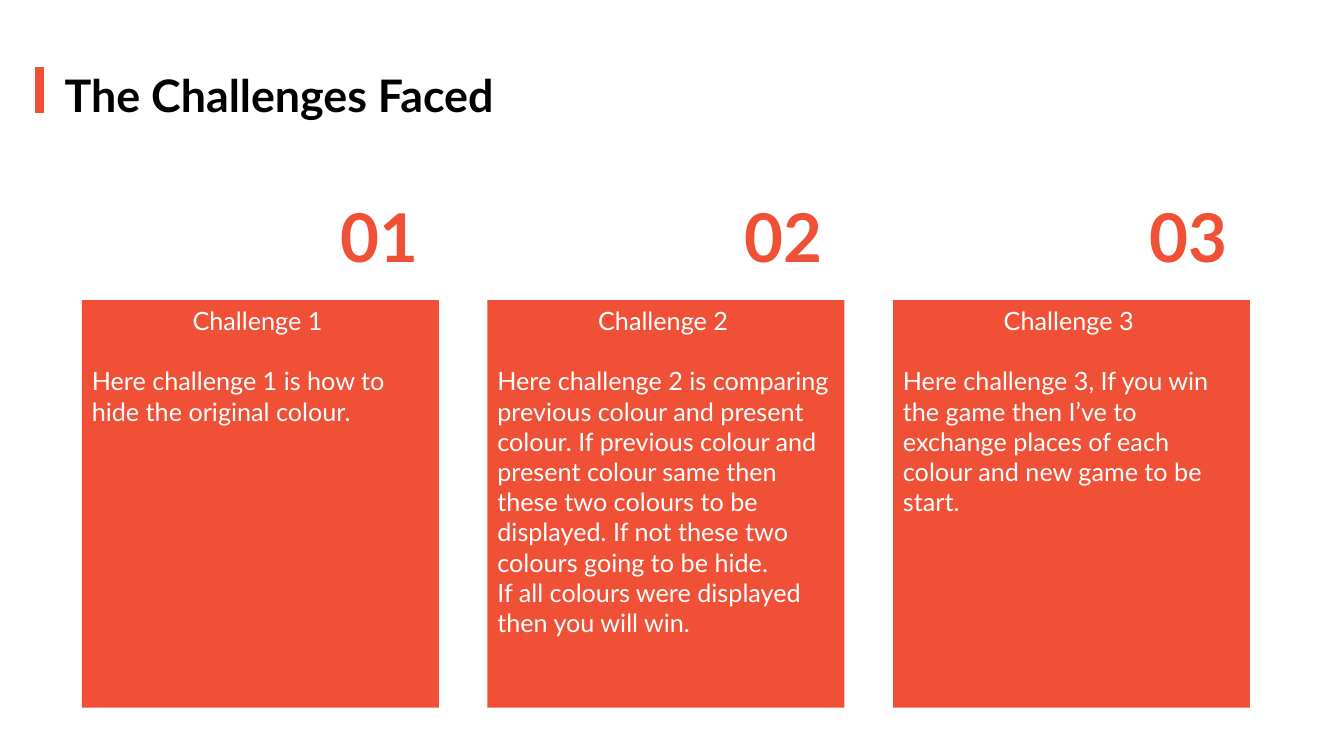
"""Build the slide that lists the three challenges faced."""
from dataclasses import dataclass

from pptx import Presentation
from pptx.dml.color import RGBColor
from pptx.enum.shapes import MSO_SHAPE
from pptx.enum.text import MSO_ANCHOR, PP_ALIGN
from pptx.util import Pt


@dataclass(frozen=True)
class Theme:
    """Colours, font and type sizes of the slide."""
    accent: RGBColor = RGBColor(0xF0, 0x51, 0x36)
    dark: RGBColor = RGBColor(0, 0, 0)
    light: RGBColor = RGBColor(0xFF, 0xFF, 0xFF)
    font: str = "Lato"
    title_size: int = 32
    number_size: int = 48
    body_size: int = 18
    body_line: float = 21.6
    heading_indent: int = 72


class SlideBuilder:
    """Draws styled elements on one slide."""

    def __init__(self, slide, theme):
        """Keep the slide and its theme."""
        self.slide = slide
        self.theme = theme

    def rectangle(self, left, top, width, height, fill, line=None):
        """Add a plain rectangle."""
        shape = self.slide.shapes.add_shape(
            MSO_SHAPE.RECTANGLE, Pt(left), Pt(top), Pt(width), Pt(height))
        shape.shadow.inherit = False
        shape.fill.solid()
        shape.fill.fore_color.rgb = fill
        if line is None:
            shape.line.fill.background()
        else:
            shape.line.color.rgb = line
            shape.line.width = Pt(1)
        return shape

    def add_text(self, shape, texts, size, color, bold=False, wrap=True):
        """Fill a shape with left-aligned paragraphs and return them."""
        frame = shape.text_frame
        frame.word_wrap = wrap
        frame.vertical_anchor = MSO_ANCHOR.TOP
        paragraphs = []
        for index, text in enumerate(texts):
            paragraph = frame.add_paragraph() if index else frame.paragraphs[0]
            paragraph.alignment = PP_ALIGN.LEFT
            run = paragraph.add_run()
            run.text = text
            run.font.name = self.theme.font
            run.font.size = Pt(size)
            run.font.bold = bold
            run.font.color.rgb = color
            paragraphs.append(paragraph)
        return paragraphs

    def title(self, text):
        """Add the title with its accent bar."""
        theme = self.theme
        self.rectangle(24.6, 47.6, 7.2, 33.6, theme.accent, theme.light)
        box = self.slide.shapes.add_textbox(Pt(39), Pt(45), Pt(358), Pt(46))
        self.add_text(box, [text], theme.title_size, theme.dark, True, False)

    def card(self, left, heading, texts):
        """Add a filled card with an indented heading above its text."""
        theme = self.theme
        card = self.rectangle(left, 214.4, 255, 291, theme.accent)
        first = self.add_text(
            card, [heading, *texts], theme.body_size, theme.light)[0]
        first.space_after = Pt(theme.body_line)
        first._p.get_or_add_pPr().set("marL", str(Pt(theme.heading_indent)))

    def number(self, left, text):
        """Add a large card number."""
        theme = self.theme
        box = self.rectangle(left, 136, 77, 65.5, theme.light)
        self.add_text(box, [text], theme.number_size, theme.accent, True, False)


CHALLENGES = [
    ["Here challenge 1 is how to hide the original colour."],
    ["Here challenge 2 is comparing previous colour and present colour. "
     "If previous colour and present colour same then these two colours "
     "to be displayed. If not these two colours going to be hide.",
     "If all colours were displayed then you will win."],
    ["Here challenge 3, If you win the game then I’ve to exchange places "
     "of each colour and new game to be start."],
]
CARD_LEFT, CARD_PITCH = 58.5, 289.7
NUMBER_LEFT, NUMBER_PITCH = 236.2, 288.8

presentation = Presentation()
presentation.slide_width = Pt(960)
presentation.slide_height = Pt(540)
builder = SlideBuilder(
    presentation.slides.add_slide(presentation.slide_layouts[6]), Theme())

builder.title("The Challenges Faced")
for index, texts in enumerate(CHALLENGES):
    builder.card(CARD_LEFT + index * CARD_PITCH, f"Challenge {index + 1}", texts)
    builder.number(NUMBER_LEFT + index * NUMBER_PITCH, f"{index + 1:02}")

presentation.save("out.pptx")
